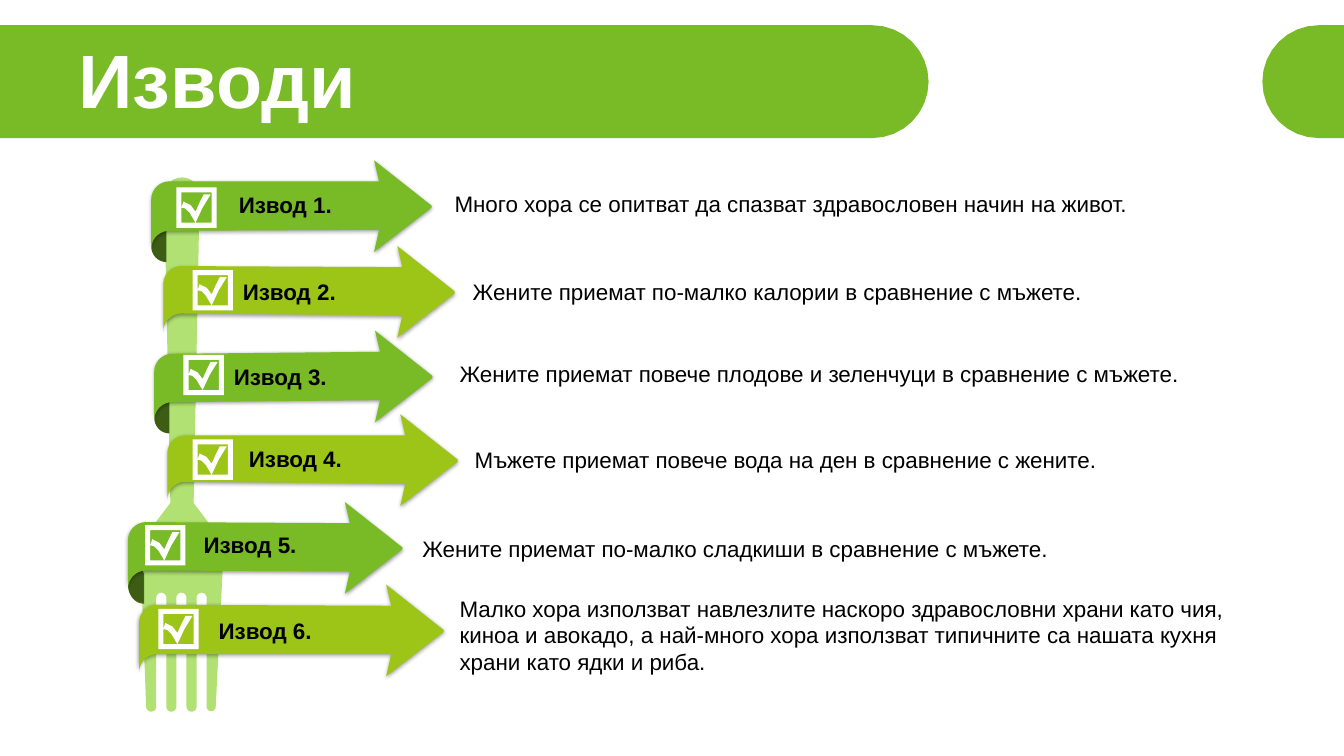
"""Builds the conclusions slide: a fork wrapped by six numbered ribbon arrows."""
from collections import namedtuple
from math import cos, radians, sin

from lxml import etree
from pptx import Presentation
from pptx.dml.color import RGBColor
from pptx.enum.shapes import MSO_SHAPE
from pptx.enum.text import MSO_ANCHOR, MSO_AUTO_SIZE, PP_ALIGN
from pptx.oxml.ns import qn
from pptx.util import Emu, Pt

LEFT, MIDDLE, TOP = PP_ALIGN.LEFT, MSO_ANCHOR.MIDDLE, MSO_ANCHOR.TOP
GROW, NO_FIT = MSO_AUTO_SIZE.SHAPE_TO_FIT_TEXT, MSO_AUTO_SIZE.NONE
TRAPEZOID, OVAL = MSO_SHAPE.TRAPEZOID, MSO_SHAPE.OVAL
PX = 9144
FONT = "Arial"
GREEN, LIME, PALE = "79BA27", "9DC518", "B0E172"
DARK, OLIVE, WHITE, BLACK = "3D5D14", "4F620C", "FFFFFF", "000000"

Conclusion = namedtuple(
    "Conclusion", "left tip middle top bottom check label statement_at statement")
CONCLUSIONS = [
    Conclusion(150, 428, 205, 180, 229, (175, 186), (227, 185), (441, 184),
               "Много хора се опитват да спазват здравословен начин на живот."),
    Conclusion(162, 451, 290, 264, 311, (191, 268), (231, 271), (459, 271),
               "Жените приемат по-малко калории в сравнение с мъжете."),
    Conclusion(153, 429, 374, 351, 399, (182, 352), (222, 355), (446, 352),
               "Жените приемат повече плодове и зеленчуци в сравнение с мъжете."),
    Conclusion(166, 454, 457, 432, 478, (191, 436), (237, 437), (461, 438),
               "Мъжете приемат повече вода на ден в сравнение с жените."),
    Conclusion(127, 399, 544, 518, 566, (144, 521), (192, 522), (409, 526),
               "Жените приемат по-малко сладкиши в сравнение с мъжете."),
    Conclusion(138, 440, 626, 600, 649, (157, 604), (207, 607), (446, 585),
               "Малко хора използват навлезлите наскоро здравословни храни като чия, "
               "киноа и авокадо, а най-много хора използват типичните са нашата кухня "
               "храни като ядки и риба."),
]


def color(value):
    """Turn a hex string into a colour."""
    return RGBColor.from_string(value)


def px(value):
    """Turn px into EMU."""
    return Emu(round(value * PX))


def arc(cx, cy, radius, start, end, ry=None):
    """Return points along an elliptic arc, with angles running clockwise."""
    ry = ry or radius
    angles = [radians(start + (end - start) * step / 16) for step in range(17)]
    return [(cx + radius * cos(a), cy + ry * sin(a)) for a in angles]


class Slide:
    """Holds the current slide and draws its elements in one style."""

    def __init__(self, deck):
        """Add a slide that has a title only."""
        self.slide = deck.slides.add_slide(deck.slide_layouts[5])
        self.shapes = self.slide.shapes

    def paint(self, shape, fill):
        """Give a shape a flat fill without line or shadow."""
        shape.shadow.inherit = False
        shape.fill.solid()
        shape.fill.fore_color.rgb = color(fill)
        shape.line.fill.background()
        return shape

    def outline(self, fill, *contours):
        """Draw closed contours as one filled outline."""
        scaled = [[(px(x), px(y)) for x, y in contour] for contour in contours]
        builder = self.shapes.build_freeform(*scaled[0][0], scale=1.0)
        for index, points in enumerate(scaled):
            if index:
                builder.move_to(*points[0])
            builder.add_line_segments(points[1:], close=True)
        return self.paint(builder.convert_to_shape(), fill)

    def preset(self, kind, left, top, width, height, fill):
        """Draw a preset shape."""
        shape = self.shapes.add_shape(kind, px(left), px(top), px(width), px(height))
        return self.paint(shape, fill)

    def add_words(self, frame, text, size, ink, bold, anchor, fit):
        """Put one left-aligned run into a text frame."""
        frame.word_wrap = True
        frame.auto_size = fit
        frame.vertical_anchor = anchor
        paragraph = frame.paragraphs[0]
        paragraph.alignment = LEFT
        run = paragraph.add_run()
        run.text = text
        run.font.name = FONT
        run.font.size = Pt(size)
        run.font.bold = bold
        run.font.color.rgb = color(ink)
        return paragraph

    def title(self, text, left, top, width, height):
        """Fill the title placeholder and bring it to the front."""
        heading = self.shapes.title
        heading.left, heading.top = px(left), px(top)
        heading.width, heading.height = px(width), px(height)
        paragraph = self.add_words(
            heading.text_frame, text, 54, WHITE, True, MIDDLE, NO_FIT)
        paragraph.line_spacing = 0.9
        self.shapes._spTree.append(heading._element)

    def text(self, text, at, width, height, bold=False):
        """Add a text box."""
        left, top = at
        box = self.shapes.add_textbox(px(left), px(top), px(width), px(height))
        self.add_words(box.text_frame, text, 16, BLACK, bold, TOP, GROW)

    def drop_shadow(self, shape):
        """Cast a soft shadow downwards."""
        effects = shape._element.spPr.find(qn("a:effectLst"))
        shadow = etree.SubElement(effects, qn("a:outerShdw"), blurRad=str(Pt(3)),
                                  dist=str(Pt(1)), dir="5400000", rotWithShape="0")
        ink = etree.SubElement(shadow, qn("a:srgbClr"), val=BLACK)
        etree.SubElement(ink, qn("a:alpha"), val="40000")

    def fold(self, left, top, fill):
        """Draw the back of a ribbon where it wraps around the fork."""
        self.outline(fill, arc(left + 15, top + 15.5, 15, 90, 270, 15.5))

    def ribbon(self, item, fill):
        """Draw a ribbon that ends in an arrowhead."""
        head, notch, bend = item.tip - 57, item.tip - 52, item.left + 18
        arrow = self.outline(fill, [
            (head, item.middle - 46), (item.tip, item.middle - 1),
            (item.tip, item.middle + 1), (head, item.middle + 45),
            (notch, item.middle + 23),
            *arc(bend, item.bottom + 18, 18, 270, 180),
            *arc(bend, item.top + 18, 18, 180, 270),
            (notch, item.middle - 25)])
        self.drop_shadow(arrow)

    def check_box(self, left, top):
        """Draw a ticked square frame."""
        frame = [(0, 0), (40, 0), (40, 40), (0, 40)]
        opening = [(5, 5), (35, 5), (35, 35), (5, 35)]
        tick = [(5, 20), (7, 14), (14, 17.5), (19, 24), (23, 15), (27, 7),
                (34, 7), (26, 20), (19, 35), (13, 25), (9, 21)]
        self.outline(WHITE, *([(left + x, top + y) for x, y in contour]
                              for contour in (frame, opening, tick)))

    def fork(self):
        """Draw the fork with its tines pointing down."""
        handle = self.preset(TRAPEZOID, 163, 194, 35, 306, PALE)
        handle.rotation = 180
        handle.adjustments[0] = 0.17
        self.preset(OVAL, 163, 176, 35, 35, PALE)
        tines = []
        for gap in (155, 175, 195):
            tines += arc(gap - 5, 701, 5, 180, 0) + arc(gap + 5, 593, 5, 180, 360)
        tines += arc(209.5, 701, 4.5, 180, 0)
        self.outline(PALE, [(169, 499), (153, 520), (142, 535), (139, 544), *tines,
                            (222, 544), (219, 535), (208, 520), (192, 499)])


def main():
    """Build and save the slide."""
    deck = Presentation()
    deck.slide_width, deck.slide_height = px(1333), px(750)
    page = Slide(deck)
    page.outline(GREEN, [(0, 25), *arc(865, 81, 56, -90, 90), (0, 137)])
    page.outline(GREEN, [(1333, 137), *arc(1308, 81, 56, 90, 270), (1333, 25)])
    page.title("Изводи", 68, 44, 1233, 79)
    page.fork()
    page.fold(128, 568, OLIVE)
    for number, item in enumerate(CONCLUSIONS, 1):
        if number % 2:
            page.fold(item.left, item.bottom, DARK)
        page.ribbon(item, GREEN if number % 2 else LIME)
        page.check_box(*item.check)
        page.text(f"Извод {number}.", item.label, 115, 37, bold=True)
        page.text(item.statement, item.statement_at, 792, 91 if number == 6 else 37)
    deck.save("out.pptx")


if __name__ == "__main__":
    main()
